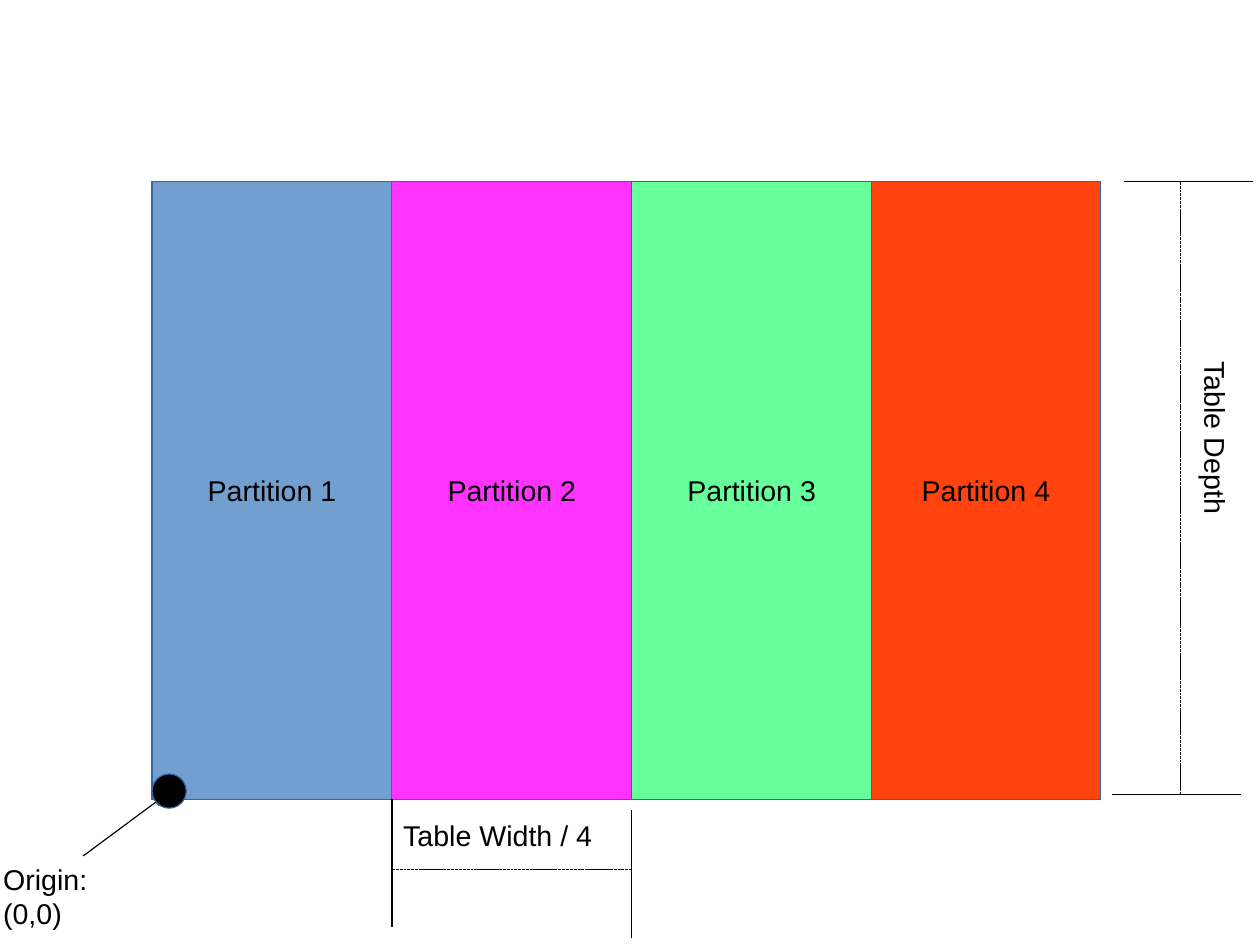
from itertools import accumulate
from lxml.etree import SubElement
from pptx import Presentation
from pptx.dml.color import RGBColor
from pptx.enum.shapes import MSO_CONNECTOR as Connector, MSO_SHAPE as Preset
from pptx.enum.text import MSO_ANCHOR as Anchor, PP_ALIGN as Align
from pptx.oxml.ns import qn
from pptx.util import Cm, Pt

LEFT, TOP, DEPTH, PARTITION_WIDTH = 3.38, 4.04, 13.72, 5.33
BOTTOM = TOP + DEPTH
DEPTH_LINE_X, DEPTH_LINE_BOTTOM, WIDTH_LINE_Y = 26.24, 17.65, 19.33
ORIGIN_SIZE = 0.76
BLACK, BORDER = "000000", "3465A4"

partitions = [
    ("Partition 1", "729FCF", PARTITION_WIDTH),
    ("Partition 2", "FF33FF", PARTITION_WIDTH),
    ("Partition 3", "66FF99", PARTITION_WIDTH),
    ("Partition 4", "FF420E", 5.08),
]
edges = list(accumulate((width for _, _, width in partitions), initial=LEFT))

labels = [
    ("Origin: (0,0)", (-0.18, 19.02, 3.6, 0.97), 0),
    ("Table Depth", (24.03, 10.31, 6.02, 0.97), 90),
    ("Table Width / 4", (edges[1], 18.06, 5.08, 0.97), 0),
]
extension_lines = [
    (24.97, TOP, 27.84, TOP),
    (24.71, DEPTH_LINE_BOTTOM, 27.58, DEPTH_LINE_BOTTOM),
    (edges[1], 20.6, edges[1], BOTTOM),
    (edges[2], 20.85, edges[2], 18.01),
]
dimension_lines = [
    (DEPTH_LINE_X, TOP, DEPTH_LINE_X, DEPTH_LINE_BOTTOM),
    (edges[1], WIDTH_LINE_Y, edges[2], WIDTH_LINE_Y),
]
origin_arrow = (1.85, 19.02, 3.63, 17.7)
dash_lengths = [250] * 7 + [2350]
dash_gap = 80


def color(value):
    return RGBColor.from_string(value)


def write(shape, text):
    paragraph = shape.text_frame.paragraphs[0]
    run = paragraph.add_run()
    run.text = text
    run.font.name = "Arial"
    run.font.size = Pt(18)
    run.font.color.rgb = color(BLACK)
    return paragraph


def add_filled(preset, box, fill):
    shape = slide.shapes.add_shape(preset, *map(Cm, box))
    shape.shadow.inherit = False
    shape.fill.solid()
    shape.fill.fore_color.rgb = color(fill)
    shape.line.color.rgb = color(BORDER)
    shape.line.width = Pt(0.75)
    return shape


def add_line(points):
    connector = slide.shapes.add_connector(Connector.STRAIGHT, *map(Cm, points))
    connector.line.color.rgb = color(BLACK)
    connector.line.width = Pt(0.75)
    properties = connector.element.spPr
    SubElement(properties, qn("a:effectLst"))
    return properties.find(qn("a:ln"))


presentation = Presentation()
presentation.slide_width, presentation.slide_height = Cm(28), Cm(21)
slide = presentation.slides.add_slide(presentation.slide_layouts[6])

SubElement(add_line(origin_arrow), qn("a:tailEnd"), type="triangle")

for (name, fill, width), left in zip(partitions, edges):
    partition = add_filled(Preset.RECTANGLE, (left, TOP, width, DEPTH), fill)
    partition.text_frame.word_wrap = False
    partition.text_frame.vertical_anchor = Anchor.MIDDLE
    write(partition, name).alignment = Align.CENTER

for points in extension_lines:
    add_line(points)

for points in dimension_lines:
    pattern = SubElement(add_line(points), qn("a:custDash"))
    for length in dash_lengths:
        SubElement(pattern, qn("a:ds"), d=str(length * 1000), sp=str(dash_gap * 1000))

for text, box, rotation in labels:
    label = slide.shapes.add_textbox(*map(Cm, box))
    label.rotation = rotation
    label.text_frame.word_wrap = True
    write(label, text)

add_filled(Preset.OVAL, (LEFT, 17.2, ORIGIN_SIZE, ORIGIN_SIZE), BLACK)

presentation.save("out.pptx")
